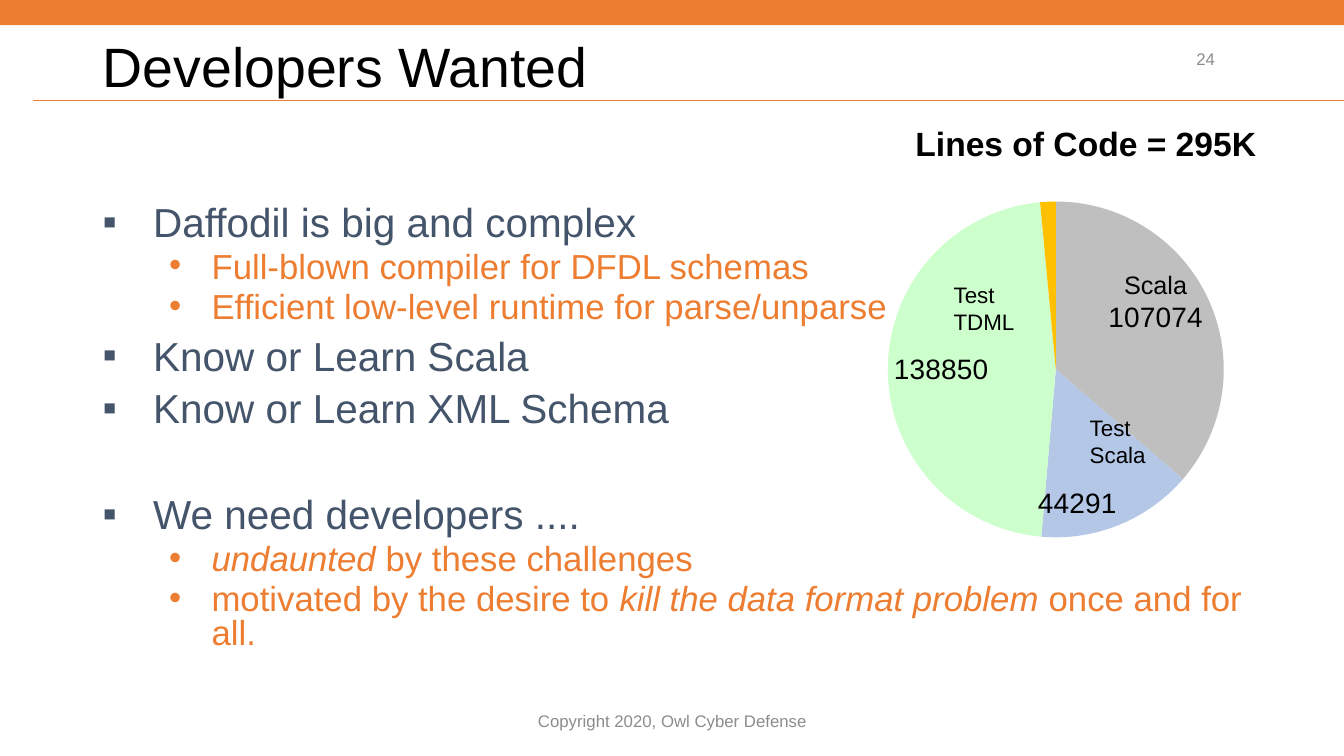
from dataclasses import dataclass

from lxml import etree
from pptx import Presentation
from pptx.chart.data import CategoryChartData
from pptx.dml.color import RGBColor
from pptx.enum.chart import XL_CHART_TYPE as ChartType, XL_LABEL_POSITION as LabelPosition
from pptx.enum.shapes import MSO_CONNECTOR as Connector, MSO_SHAPE as Preset
from pptx.enum.text import MSO_ANCHOR as Anchor, MSO_AUTO_SIZE as AutoSize, PP_ALIGN as Align
from pptx.oxml import parse_xml
from pptx.oxml.ns import nsdecls, qn
from pptx.util import Pt

SCALE = 9144


@dataclass(frozen=True)
class Theme:
    font: str = "Arial"
    accent: str = "ED7D31"
    heading: str = "44546A"
    ink: str = "000000"
    muted: str = "8C8C8C"
    slices: tuple = ("BFBFBF", "B4C7E7", "CCFFCC", "FFC000")
    title_size: float = 39.6
    topic_size: float = 28.9
    detail_size: float = 24.8
    chart_title_size: int = 24
    chart_size: int = 20
    large_label_size: int = 18
    label_size: int = 16
    small_size: int = 12


THEME = Theme()

BULLETS = {
    "topic": dict(mark="▪", margin=50, hanging=50, before=10,
                  size=THEME.topic_size, color=THEME.heading),
    "detail": dict(mark="•", margin=108, hanging=42, before=5,
                   size=THEME.detail_size, color=THEME.accent),
}

SECTION_GAP = 48

POINTS = [
    ("topic", ["Daffodil is big and complex"], 0),
    ("detail", ["Full-blown compiler for DFDL schemas"], None),
    ("detail", ["Efficient low-level runtime for parse/unparse"], None),
    ("topic", ["Know or Learn Scala"], None),
    ("topic", ["Know or Learn XML Schema"], None),
    ("topic", ["We need developers ...."], SECTION_GAP),
    ("detail", ["", "undaunted", " by these challenges"], None),
    ("detail", ["motivated by the desire to ", "kill the data format problem",
                " once and for all."], None),
]

LINES_OF_CODE = (107074, 44291, 138850, 4404)


def px(*lengths):
    return [length * SCALE for length in lengths]


def apply(target, **values):
    for name, value in values.items():
        setattr(target, name, value)


def style_font(font, size, color, **values):
    apply(font, name=THEME.font, size=Pt(size), **values)
    font.color.rgb = RGBColor.from_string(color)


def add_text(slide, box, lines, size, color, align=Align.LEFT, line_spacing=None, **frame_values):
    frame = slide.shapes.add_textbox(*px(*box)).text_frame
    apply(frame, **{"word_wrap": True, **frame_values})
    for index, line in enumerate(lines):
        paragraph = frame.add_paragraph() if index else frame.paragraphs[0]
        apply(paragraph, alignment=align, line_spacing=line_spacing)
        run = paragraph.add_run()
        run.text = line
        style_font(run.font, size, color)


def add_header(slide, box):
    left, top, width, height = box
    band = slide.shapes.add_shape(Preset.RECTANGLE, *px(left, top, width, 25))
    band.shadow.inherit = False
    band.fill.solid()
    band.fill.fore_color.rgb = RGBColor.from_string(THEME.accent)
    band.line.fill.background()
    bottom = top + height
    rule = slide.shapes.add_connector(
        Connector.STRAIGHT, *px(left + 33, bottom, left + width, bottom))
    rule.line.color.rgb = RGBColor.from_string(THEME.accent)
    rule.line.width = Pt(0.5)
    etree.SubElement(rule._element.spPr, qn("a:effectLst"))
    add_text(slide, (left + 92, top + 38, 1219, 62), ["Developers Wanted"], THEME.title_size,
             THEME.ink, line_spacing=0.9, vertical_anchor=Anchor.MIDDLE)
    add_text(slide, (left + 915, top + 38, 300, 40), ["24"], THEME.small_size,
             THEME.muted, Align.RIGHT, vertical_anchor=Anchor.MIDDLE)


def add_points(slide, box):
    frame = slide.shapes.add_textbox(*px(*box)).text_frame
    frame.word_wrap = True
    for index, (level, pieces, before) in enumerate(POINTS):
        style = BULLETS[level]
        paragraph = frame.add_paragraph() if index else frame.paragraphs[0]
        space = style["before"] if before is None else before
        apply(paragraph, level=int(level == "detail"), line_spacing=0.8, space_before=Pt(space))
        margin, indent = px(style["margin"], -style["hanging"])
        properties = paragraph._p.get_or_add_pPr()
        properties.set("marL", str(margin))
        properties.set("indent", str(indent))
        etree.SubElement(properties, qn("a:buFont"), typeface=THEME.font)
        etree.SubElement(properties, qn("a:buChar"), char=style["mark"])
        for position, piece in enumerate(pieces):
            if piece:
                run = paragraph.add_run()
                run.text = piece
                style_font(run.font, style["size"], style["color"], italic=position == 1)


def place_plot(chart, **fractions):
    area = chart._chartSpace.chart.plotArea
    for layout in area.findall(qn("c:layout")):
        area.remove(layout)
    sides = "".join(f'<c:{side} val="{value}"/>' for side, value in fractions.items())
    area.insert(0, parse_xml(
        f'<c:layout {nsdecls("c")}><c:manualLayout><c:layoutTarget val="inner"/>'
        f'<c:xMode val="edge"/><c:yMode val="edge"/>{sides}</c:manualLayout></c:layout>'))


def add_code_chart(slide, box):
    left, top, width, height = box
    data = CategoryChartData()
    data.categories = ["1", "2", "3", "4"]
    data.add_series("Series 1", LINES_OF_CODE)
    chart = slide.shapes.add_chart(ChartType.PIE, *px(*box), data).chart
    chart.has_legend = False
    chart.has_title = True
    style_font(chart.font, THEME.chart_size, THEME.ink)
    title = chart.chart_title
    title.include_in_layout = False
    run = title.text_frame.paragraphs[0].add_run()
    run.text = "Lines of Code = 295K"
    style_font(run.font, THEME.chart_title_size, THEME.ink, bold=True)
    place_plot(chart, x=0.17, y=0.21, w=0.56, h=0.7)
    chart.plots[0].vary_by_categories = True
    series = chart.plots[0].series[0]
    for index, color in enumerate(THEME.slices):
        fill = series.points[index].format.fill
        fill.solid()
        fill.fore_color.rgb = RGBColor.from_string(color)
    labels = series.data_labels
    apply(labels, show_value=True, position=LabelPosition.INSIDE_END)
    style_font(labels.font, THEME.chart_size, THEME.ink)
    labels._element.insert(0, parse_xml(
        f'<c:dLbl {nsdecls("c")}><c:idx val="3"/><c:delete val="1"/></c:dLbl>'))
    for x, y, label_width, label_height, lines, size in (
        (326, 162, 83, 40, ["Scala"], THEME.large_label_size),
        (292, 306, 76, 64, ["Test", "Scala"], THEME.label_size),
        (157, 174, 81, 64, ["Test", "TDML"], THEME.label_size),
    ):
        add_text(slide, (left + x, top + y, label_width, label_height), lines, size, THEME.ink,
                 word_wrap=False, auto_size=AutoSize.SHAPE_TO_FIT_TEXT)


def add_footer(slide, box):
    add_text(slide, box, ["Copyright 2020, Owl Cyber Defense"], THEME.small_size,
             THEME.muted, Align.CENTER, vertical_anchor=Anchor.MIDDLE)


def main():
    presentation = Presentation()
    width, height = px(1333, 750)
    apply(presentation, slide_width=width, slide_height=height)
    slide = presentation.slides.add_slide(presentation.slide_layouts[6])
    add_header(slide, (0, 0, 1333, 100))
    add_points(slide, (92, 200, 1150, 476))
    add_footer(slide, (442, 695, 450, 40))
    add_code_chart(slide, (779, 100, 596, 476))
    presentation.save("out.pptx")


if __name__ == "__main__":
    main()
